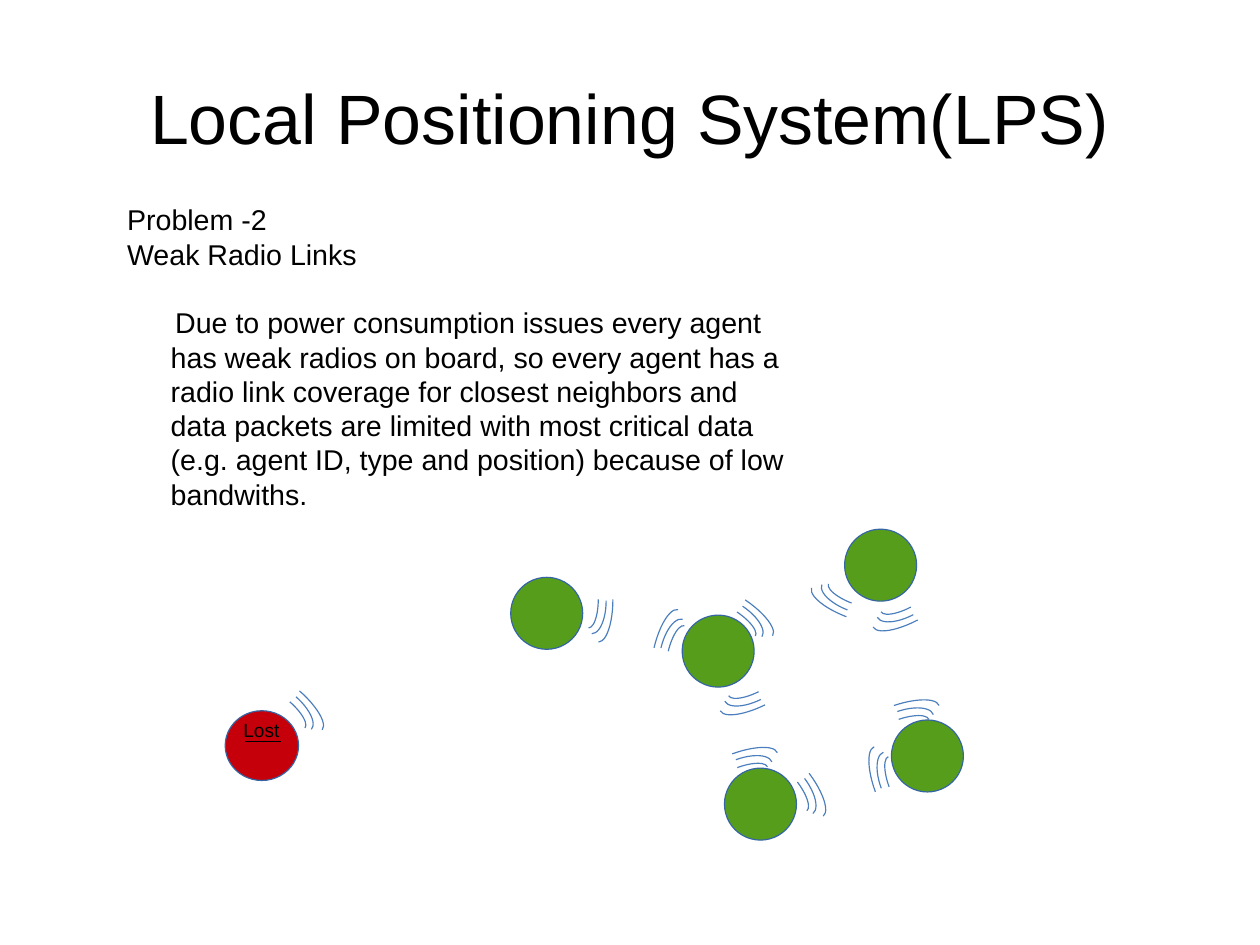
from math import cos, radians, sin

from lxml import etree
from pptx import Presentation
from pptx import util as u
from pptx.dml.color import RGBColor
from pptx.enum import shapes, text
from pptx.oxml.ns import qn

# Content
TITLE = "Local Positioning System(LPS)"
HEADINGS = ["Problem -2", "Weak Radio Links"]
DESCRIPTION = (
    "Due to power consumption issues every agent has weak radios on board, "
    "so every agent has a radio link coverage for closest neighbors and data "
    "packets are limited with most critical data (e.g. agent ID, type and "
    "position) because of low bandwiths."
)
LOST_LABEL = "Lost"

# Agents: centre x, centre y in cm
AGENTS = [(16.9, 17.87), (20.61, 16.8), (15.96, 14.47), (19.57, 12.56), (12.15, 13.63)]
AGENT_SIZE = (1.6, 1.6)
LOST_AGENT = (5.82, 16.57)
LOST_SIZE = (1.63, 1.55)

# Radio signals: centre x, centre y in cm, rotation in degrees
SIGNALS = [
    (20.14, 13.3, 152.3), (19.0, 13.2, 201), (13.08, 13.32, 90),
    (15.06, 14.52, 283.5), (16.76, 15.18, 153.8), (16.26, 13.78, 34),
    (17.55, 17.51, 53.1), (19.96, 17.41, 249.8), (20.04, 16.19, 341.3),
    (16.46, 17.26, 339.9), (6.3, 15.76, 41.2),
]
# Arcs of one signal before rotation: offset x, offset y, width, height in cm
WAVES = [(0, 0, 1.27, 0.43), (0.03, -0.07, 1.47, 0.64), (0, -0.22, 1.9, 0.64)]

BLACK = RGBColor(0x00, 0x00, 0x00)
GREEN = RGBColor(0x57, 0x9D, 0x1C)
RED = RGBColor(0xC5, 0x00, 0x0B)
OUTLINE = RGBColor(0x34, 0x65, 0xA4)
WAVE_BLUE = RGBColor(0x4B, 0x7E, 0xBC)
LINE_WIDTH = u.Pt(0.75)
FONT = "Arial"


def place(shape, left, top, width, height):
    shape.left, shape.top = u.Cm(left), u.Cm(top)
    shape.width, shape.height = u.Cm(width), u.Cm(height)


def add_span(para, words, size):
    span = para.add_run()
    span.text = words
    span.font.name = FONT
    span.font.size = u.Pt(size)
    span.font.color.rgb = BLACK


def add_centred(kind, x, y, width, height, line_color):
    shape = page.shapes.add_shape(
        kind, u.Cm(x - width / 2), u.Cm(y - height / 2), u.Cm(width), u.Cm(height)
    )
    shape.shadow.inherit = False
    shape.line.color.rgb = line_color
    shape.line.width = LINE_WIDTH
    return shape


def add_agent(centre, size, color):
    agent = add_centred(shapes.MSO_SHAPE.OVAL, *centre, *size, OUTLINE)
    agent.fill.solid()
    agent.fill.fore_color.rgb = color


def add_signal(x, y, rotation):
    c, s = cos(radians(rotation)), sin(radians(rotation))
    for dx, dy, width, height in WAVES:
        wave = add_centred(
            shapes.MSO_SHAPE.ARC, x + dx * c - dy * s, y + dx * s + dy * c,
            width, height, WAVE_BLUE,
        )
        wave.fill.background()
        wave.rotation = rotation


deck = Presentation()
deck.slide_width, deck.slide_height = u.Cm(28), u.Cm(21)
page = deck.slides.add_slide(deck.slide_layouts[1])

# Title
title = page.shapes.title
place(title, 1.4, 0.84, 25.2, 3.5)
frame = title.text_frame
frame.auto_size = text.MSO_AUTO_SIZE.NONE
frame.vertical_anchor = text.MSO_ANCHOR.MIDDLE
frame.margin_left = frame.margin_right = frame.margin_top = frame.margin_bottom = 0
frame.paragraphs[0].alignment = text.PP_ALIGN.CENTER
add_span(frame.paragraphs[0], TITLE, 44)

# Problem statement
body = page.placeholders[1]
place(body, 2.57, 4.37, 15.44, 7.19)
frame = body.text_frame
frame.auto_size = text.MSO_AUTO_SIZE.NONE
frame.word_wrap = True
for index, words in enumerate([*HEADINGS, DESCRIPTION]):
    para = frame.paragraphs[0] if index == 0 else frame.add_paragraph()
    is_description = index == len(HEADINGS)
    para.line_spacing = u.Pt(21.6)
    para.space_before = u.Pt(21.6 if is_description else 0)
    settings = para._p.get_or_add_pPr()
    settings.set("marL", str(u.Cm(0.97 if is_description else 0)))
    settings.set("indent", str(u.Cm(0.1 if is_description else 0)))
    etree.SubElement(settings, qn("a:buNone"))
    add_span(para, words, 18)

# Agents
for centre in AGENTS:
    add_agent(centre, AGENT_SIZE, GREEN)
add_agent(LOST_AGENT, LOST_SIZE, RED)

# Lost agent's label and underline
underline = page.shapes.add_connector(
    shapes.MSO_CONNECTOR.STRAIGHT, u.Cm(5.44), u.Cm(16.48), u.Cm(6.25), u.Cm(16.48)
)
underline.line.color.rgb = BLACK
underline.line.width = LINE_WIDTH
etree.SubElement(underline._element.spPr, qn("a:effectLst"))
label = page.shapes.add_textbox(u.Cm(5.16), u.Cm(15.85), u.Cm(1.42), u.Cm(1.4))
add_span(label.text_frame.paragraphs[0], LOST_LABEL, 12)

# Radio signals
for signal in SIGNALS:
    add_signal(*signal)

deck.save("out.pptx")
